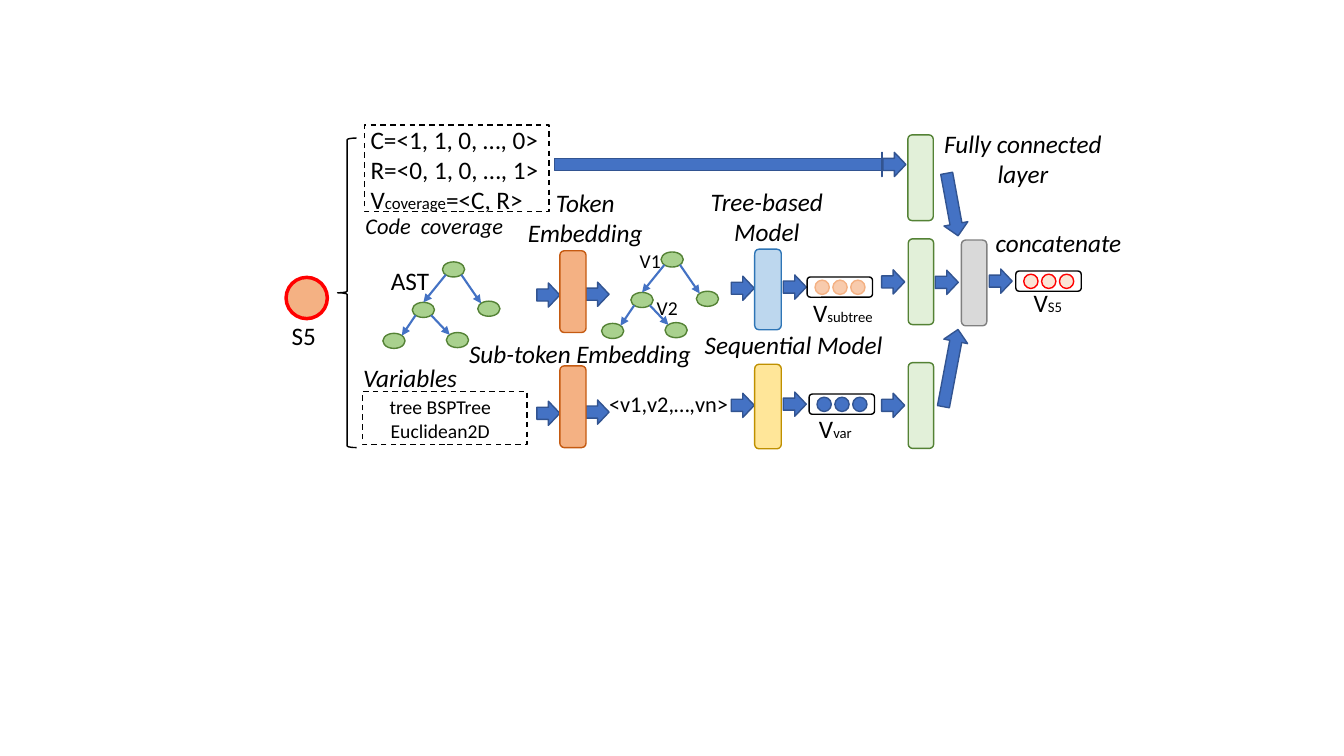
from dataclasses import dataclass

from lxml import etree
from pptx import Presentation
from pptx.dml.color import RGBColor
from pptx.enum.dml import MSO_LINE
from pptx.enum.shapes import MSO_CONNECTOR, MSO_SHAPE
from pptx.enum.text import PP_ALIGN
from pptx.oxml.ns import qn
from pptx.util import Cm, Pt

ARROW, BRACE, OVAL = MSO_SHAPE.RIGHT_ARROW, MSO_SHAPE.LEFT_BRACE, MSO_SHAPE.OVAL
RECTANGLE, ROUNDED = MSO_SHAPE.RECTANGLE, MSO_SHAPE.ROUNDED_RECTANGLE
LEFT, CENTER = PP_ALIGN.LEFT, PP_ALIGN.CENTER
DASH, STRAIGHT = MSO_LINE.DASH, MSO_CONNECTOR.STRAIGHT


@dataclass(frozen=True)
class Theme:
    """Font, type sizes and (fill, line) colour pairs."""
    font: str = "Calibri"
    text: str = "000000"
    large: float = 18
    medium: float = 16
    small: float = 14
    coverage: float = 12
    subscript: float = 10.5
    outline: tuple = (None, "000000")
    arrow: tuple = ("4472C4", "325491")
    node: tuple = ("A9D18E", "548235")
    statement: tuple = ("F4B183", "FF0000")
    embedding: tuple = ("F4B183", "C55A11")
    tree_model: tuple = ("BDD7EE", "2E75B6")
    sequence_model: tuple = ("FFE699", "BF9000")
    connected: tuple = ("E2F0D9", "548235")
    concatenated: tuple = ("D9D9D9", "808080")
    subtree_dots: tuple = ("F8CBAD", "F4B183")
    result_dots: tuple = ("FBE5D6", "FF0000")


THEME = Theme()


@dataclass(frozen=True)
class Box:
    """A rectangle in centimetres."""
    left: float
    top: float
    width: float
    height: float

    def inner(self, left, top, width, height):
        """Return a box placed relative to this one."""
        return Box(self.left + left, self.top + top, width, height)

    def lengths(self):
        """Return the four measures as lengths."""
        return Cm(self.left), Cm(self.top), Cm(self.width), Cm(self.height)


@dataclass(frozen=True)
class Lane:
    """What differs between the two embedding lanes."""
    arrow_tops: tuple
    model: tuple
    model_height: float
    vector: tuple
    dots: tuple
    caption: str
    caption_offset: tuple
    connected_top: float


SYNTAX_LANE = Lane((0.81, 0.79, 0.64, 0.61, 0.48), THEME.tree_model, 2.03, (6.81, 0.66),
                   THEME.subtree_dots, "subtree", (-0.1, 0.38), -0.3)
VARIABLE_LANE = Lane((0.89, 0.86, 0.69, 0.66, 0.69), THEME.sequence_model, 2.13, (6.86, 0.71),
                     THEME.arrow, "var", (0, 0.36), -0.08)
ARROW_LEFTS = (0, 1.24, 4.9, 6.21, 8.69)
NODES = ((1.5, 0), (0.74, 1.02), (0, 1.8), (1.6, 1.78), (2.39, 0.99))
EDGES = ((0, 0.15, 1, 0.5, 0), (1, 0.15, 2, 0.85, 0.15),
         (1, 0.85, 3, 0.15, 0.15), (0, 0.85, 4, 0.15, 0.15))


def add_block(slide, kind, box, colours, weight=1):
    """Add a preset shape with a fill and line pair."""
    shape = slide.shapes.add_shape(kind, *box.lengths())
    shape.shadow.inherit = False
    fill, line = colours
    if fill:
        shape.fill.solid()
        shape.fill.fore_color.rgb = RGBColor.from_string(fill)
    else:
        shape.fill.background()
    shape.line.color.rgb = RGBColor.from_string(line)
    shape.line.width = Pt(weight)
    return shape


def add_arrow(slide, box, left, top, width=0.58, rotation=0):
    """Add a block arrow inside a region."""
    arrow = add_block(slide, ARROW, box.inner(left, top, width, 0.61), THEME.arrow)
    arrow.rotation = rotation
    return arrow


def add_label(slide, box, lines, size=THEME.large, italic=False, align=CENTER):
    """Add text; a line is a string or a list of (text, size) runs."""
    frame = slide.shapes.add_textbox(*box.lengths()).text_frame
    frame.word_wrap = True
    for index, line in enumerate(lines):
        paragraph = frame.paragraphs[0] if index == 0 else frame.add_paragraph()
        paragraph.alignment = align
        for text, run_size in [(line, size)] if isinstance(line, str) else line:
            run = paragraph.add_run()
            run.text = text
            run.font.name = THEME.font
            run.font.size = Pt(run_size)
            run.font.italic = italic
            run.font.color.rgb = RGBColor.from_string(THEME.text)


def add_edge(slide, start, end):
    """Add a thin arrow between two points."""
    edge = slide.shapes.add_connector(STRAIGHT, *map(Cm, start + end))
    edge.line.color.rgb = RGBColor.from_string(THEME.arrow[0])
    edge.line.width = Pt(1.5)
    etree.SubElement(edge.line._get_or_add_ln(), qn("a:tailEnd"), type="triangle")
    etree.SubElement(edge._element.spPr, qn("a:effectLst"))


def add_vector(slide, box, dots, caption, offset):
    """Add a three-dot vector with its subscripted name."""
    add_block(slide, ROUNDED, box, THEME.outline)
    for index in range(3):
        add_block(slide, OVAL, box.inner(0.2 + 0.45 * index, 0.08, 0.36, 0.36), dots)
    name = [("V", THEME.large), (caption, THEME.subscript)]
    add_label(slide, box.inner(*offset, 2.36, 1.02), [name], align=LEFT)


def add_tree(slide, box, labels):
    """Add a five-node syntax tree with (text, left, top, size) labels."""
    nodes = [box.inner(left, top, 0.56, 0.38) for left, top in NODES]
    for node in nodes:
        add_block(slide, OVAL, node, THEME.node)
    for parent, exit_across, child, entry_across, entry_down in EDGES:
        first, second = nodes[parent], nodes[child]
        add_edge(slide, (first.left + exit_across * first.width, first.top + 0.85 * first.height),
                 (second.left + entry_across * second.width,
                  second.top + entry_down * second.height))
    for text, left, top, size in labels:
        add_label(slide, box.inner(left, top, 2.03, 1.02), [text], size, align=LEFT)


def add_statement(slide, box):
    """Add the statement and its brace."""
    add_block(slide, OVAL, box.inner(0.11, 3.51, 1.04, 1.04), THEME.statement, 2.5)
    add_label(slide, box.inner(0, 4.47, 2.06, 1.02), ["S5"], align=LEFT)
    add_block(slide, BRACE, box.inner(1.41, 0, 0.48, box.height), THEME.outline)


def add_coverage(slide, box):
    """Add the code coverage vectors and their route to a connected layer."""
    add_block(slide, RECTANGLE, box, THEME.outline).line.dash_style = DASH
    total = [("V", THEME.large), ("coverage", THEME.coverage), ("=<C, R>", THEME.large)]
    add_label(slide, box.inner(-0.1, -0.15, 5.49, 2.57),
              ["C=<1, 1, 0, …, 0>", "R=<0, 1, 0, …, 1>", total], align=LEFT)
    add_label(slide, box.inner(-0.23, 2.06, 8.59, 0.94), ["Code  coverage"],
              THEME.medium, True, LEFT)
    add_arrow(slide, box, 4.78, 0.69, 8.26).adjustments[1] = 0
    add_arrow(slide, box, 13.06, 0.69)
    add_block(slide, ROUNDED, box.inner(13.69, 0.25, 0.64, 2.16), THEME.connected)


def add_variables(slide, box):
    """Add the variable list."""
    add_block(slide, RECTANGLE, box, THEME.outline).line.dash_style = DASH
    add_label(slide, box.inner(-0.76, -0.86, 3.91, 1.02), ["Variables"], italic=True)
    add_label(slide, box.inner(-0.33, -0.03, 4.57, 1.45),
              ["tree BSPTree", "Euclidean2D"], THEME.small)


def add_lane(slide, box, lane):
    """Add one lane from embedding to connected layer."""
    for left, top in zip(ARROW_LEFTS, lane.arrow_tops):
        add_arrow(slide, box, left, top)
    add_block(slide, ROUNDED, box.inner(0.58, 0, 0.66, box.height), THEME.embedding)
    add_block(slide, ROUNDED, box.inner(5.49, -0.04, 0.67, lane.model_height), lane.model)
    add_block(slide, ROUNDED, box.inner(9.36, lane.connected_top, 0.64, 2.16), THEME.connected)
    add_vector(slide, box.inner(*lane.vector, 1.65, 0.51),
               lane.dots, lane.caption, lane.caption_offset)


def add_lane_names(slide, syntax, variables):
    """Name the embeddings and models of both lanes."""
    for box, lines in (
            (syntax.inner(-2.08, -1.72, 6.6, 1.8), ["Token", "Embedding"]),
            (syntax.inner(3.05, -1.75, 5.49, 1.8), ["Tree-based", "Model"]),
            (variables.inner(-2.21, -0.81, 6.6, 1.02), ["Sub-token Embedding"]),
            (variables.inner(3.84, -1.04, 5.26, 1.02), ["Sequential Model"])):
        add_label(slide, box, lines, italic=True)
    add_label(slide, variables.inner(1.57, 0.48, 3.71, 0.94), ["<v1,v2,…,vn>"],
              THEME.medium, align=LEFT)


def add_fusion(slide, box):
    """Add the concatenation and the resulting vector."""
    add_block(slide, ROUNDED, box.inner(1.03, 2.95, 0.64, 2.16), THEME.concatenated)
    add_arrow(slide, box, 0, 1.75, 1.6, 79.6)
    add_arrow(slide, box, 0.37, 3.71)
    add_arrow(slide, box, -0.23, 5.87, 1.98, 280.7)
    add_arrow(slide, box, 1.73, 3.68)
    add_vector(slide, box.inner(2.4, 3.73, 1.65, 0.51), THEME.result_dots, "S5", (0.2, 0.28))
    add_label(slide, box.inner(-0.43, 0, 6.02, 1.8), ["Fully connected", "layer"], italic=True)
    add_label(slide, box.inner(1.57, 2.51, 3.81, 1.02), ["concatenate"], italic=True)


def main():
    """Build the slide and save it."""
    presentation = Presentation()
    presentation.slide_width, presentation.slide_height = Cm(33.87), Cm(19.05)
    slide = presentation.slides.add_slide(presentation.slide_layouts[6])
    syntax, variables = (Box(13.53, top, 10, 2.06) for top in (6.32, 9.22))
    add_statement(slide, Box(7.1, 3.48, 1.89, 7.8))
    add_coverage(slide, Box(9.19, 3.15, 4.65, 2.18))
    add_variables(slide, Box(9.14, 9.86, 4.14, 1.35))
    add_lane(slide, syntax, SYNTAX_LANE)
    add_lane(slide, variables, VARIABLE_LANE)
    add_lane_names(slide, syntax, variables)
    add_tree(slide, Box(9.65, 6.6, 2.95, 2.18), [("AST", -0.05, -0.03, THEME.large)])
    add_tree(slide, Box(15.16, 6.35, 2.95, 2.18),
             [("V1", 0.71, -0.2, THEME.small), ("V2", 1.14, 0.97, THEME.small)])
    add_fusion(slide, Box(23.2, 3.1, 5.6, 7.8))
    presentation.save("out.pptx")


if __name__ == "__main__":
    main()
